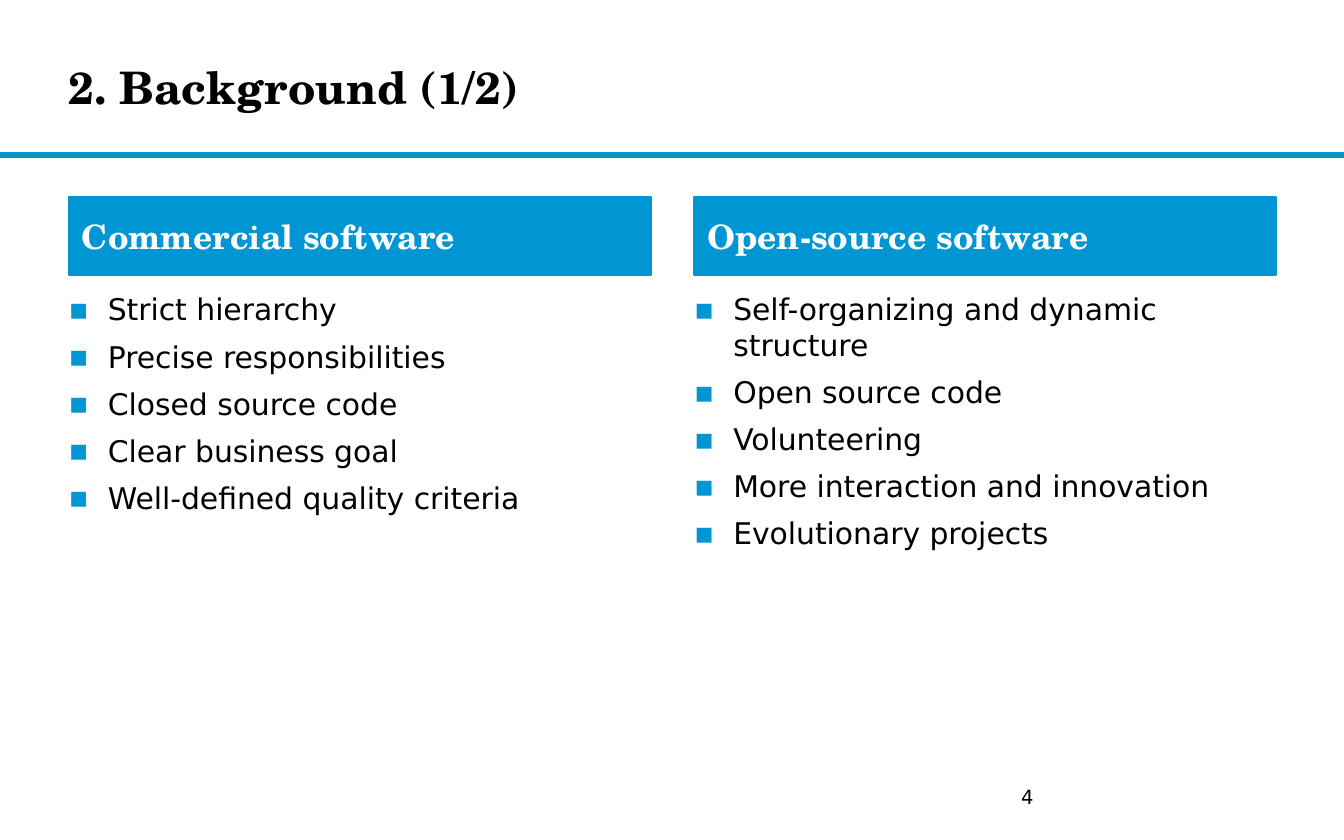
from dataclasses import dataclass
from typing import Any

from lxml import etree
from pptx import Presentation
from pptx.dml.color import RGBColor
from pptx.enum.shapes import MSO_SHAPE
from pptx.enum.text import MSO_ANCHOR, PP_ALIGN
from pptx.oxml.ns import qn
from pptx.util import Cm, Length, Pt

RECTANGLE = MSO_SHAPE.RECTANGLE
MIDDLE = MSO_ANCHOR.MIDDLE
TOP = MSO_ANCHOR.TOP
LEFT = PP_ALIGN.LEFT

COLOURS = {"accent": "0096D3", "rule": "0C94B7", "ink": "000000", "paper": "FFFFFF"}
SERIF = "TeX Gyre Schola"
SANS = "DejaVu Sans"

SLIDE_WIDTH = Cm(25.4)
SLIDE_HEIGHT = Cm(15.88)
MARGIN = Cm(1.3)
COLUMN_WIDTH = Cm(11)
COLUMN_STEP = Cm(11.82)
HEADING_TOP = Cm(3.73)
HEADING_HEIGHT = Cm(1.47)
LIST_TOP = Cm(5.38)
LIST_HEIGHT = Cm(8.81)
BULLET_INDENT = Cm(0.74)


@dataclass(frozen=True)
class Box:
    left: Length
    top: Length
    width: Length
    height: Length


@dataclass(frozen=True)
class Style:
    font: str
    size: float
    colour: str
    bold: bool = False
    space_after: float = 0


@dataclass(frozen=True)
class Column:
    heading: str
    points: tuple[str, ...]


TITLE_STYLE = Style(SERIF, 24, "ink", bold=True)
HEADING_STYLE = Style(SERIF, 18, "paper", bold=True, space_after=6)
POINT_STYLE = Style(SANS, 16, "ink", space_after=6)
PAGE_STYLE = Style(SANS, 10.5, "ink")

COLUMNS = (
    Column("Commercial software", (
        "Strict hierarchy",
        "Precise responsibilities",
        "Closed source code",
        "Clear business goal",
        "Well-defined quality criteria",
    )),
    Column("Open-source software", (
        "Self-organizing and dynamic structure",
        "Open source code",
        "Volunteering",
        "More interaction and innovation",
        "Evolutionary projects",
    )),
)


def colour(name: str) -> RGBColor:
    return RGBColor.from_string(COLOURS[name])


def apply_format(target: Any, values: dict[str, Any]) -> None:
    for attribute, value in values.items():
        setattr(target, attribute, value)


def add_bar(slide: Any, box: Box, fill: str) -> Any:
    bar = slide.shapes.add_shape(RECTANGLE, box.left, box.top, box.width, box.height)
    bar.shadow.inherit = False
    bar.fill.solid()
    bar.fill.fore_color.rgb = colour(fill)
    bar.line.color.rgb = colour("accent")
    bar.line.width = Pt(1)
    return bar


def add_bullet(paragraph: Any) -> None:
    properties = paragraph._p.get_or_add_pPr()
    properties.set("marL", str(BULLET_INDENT))
    properties.set("indent", str(-BULLET_INDENT))
    bullet_colour = etree.SubElement(properties, qn("a:buClr"))
    etree.SubElement(bullet_colour, qn("a:srgbClr"), val=COLOURS["accent"])
    etree.SubElement(properties, qn("a:buFont"), typeface=SANS)
    etree.SubElement(properties, qn("a:buChar"), char="▪")


def write_text(shape: Any, lines: tuple[str, ...], style: Style,
               frame_format: dict[str, Any], bulleted: bool = False) -> None:
    frame = shape.text_frame
    apply_format(frame, {"word_wrap": True, **frame_format})
    frame.text = "\n".join(lines)
    for paragraph in frame.paragraphs:
        apply_format(paragraph, {"alignment": LEFT, "space_after": Pt(style.space_after)})
        apply_format(paragraph.runs[0].font, {
            "name": style.font, "size": Pt(style.size), "bold": style.bold,
        })
        paragraph.runs[0].font.color.rgb = colour(style.colour)
        if bulleted:
            add_bullet(paragraph)


def add_text(slide: Any, box: Box, lines: tuple[str, ...], style: Style,
             frame_format: dict[str, Any], bulleted: bool = False) -> None:
    text_box = slide.shapes.add_textbox(box.left, box.top, box.width, box.height)
    write_text(text_box, lines, style, frame_format, bulleted)


def add_column(slide: Any, column: Column, left: Length) -> None:
    points_box = Box(left, LIST_TOP, COLUMN_WIDTH, LIST_HEIGHT)
    add_text(slide, points_box, column.points, POINT_STYLE,
             {"margin_left": 0, "margin_right": 0, "vertical_anchor": TOP}, bulleted=True)
    heading_box = Box(left, HEADING_TOP, COLUMN_WIDTH, HEADING_HEIGHT)
    heading = add_bar(slide, heading_box, "accent")
    write_text(heading, (column.heading,), HEADING_STYLE,
               {"margin_left": Cm(0.25), "margin_right": 0, "vertical_anchor": MIDDLE})


def main() -> None:
    presentation = Presentation()
    apply_format(presentation, {"slide_width": SLIDE_WIDTH, "slide_height": SLIDE_HEIGHT})
    slide = presentation.slides.add_slide(presentation.slide_layouts[6])

    add_bar(slide, Box(Cm(0), Cm(2.9), SLIDE_WIDTH, Cm(0.08)), "rule")
    add_text(slide, Box(MARGIN, Cm(0.38), Cm(19), Cm(2.51)), ("2. Background (1/2)",),
             TITLE_STYLE, {"margin_left": 0, "margin_right": 0, "margin_top": 0,
                           "margin_bottom": 0, "vertical_anchor": MIDDLE})
    for index, column in enumerate(COLUMNS):
        add_column(slide, column, Length(MARGIN + index * COLUMN_STEP))
    add_text(slide, Box(Cm(19.05), Cm(14.71), Cm(1.4), Cm(0.71)), ("4",),
             PAGE_STYLE, {"vertical_anchor": TOP})

    presentation.save("out.pptx")


if __name__ == "__main__":
    main()
